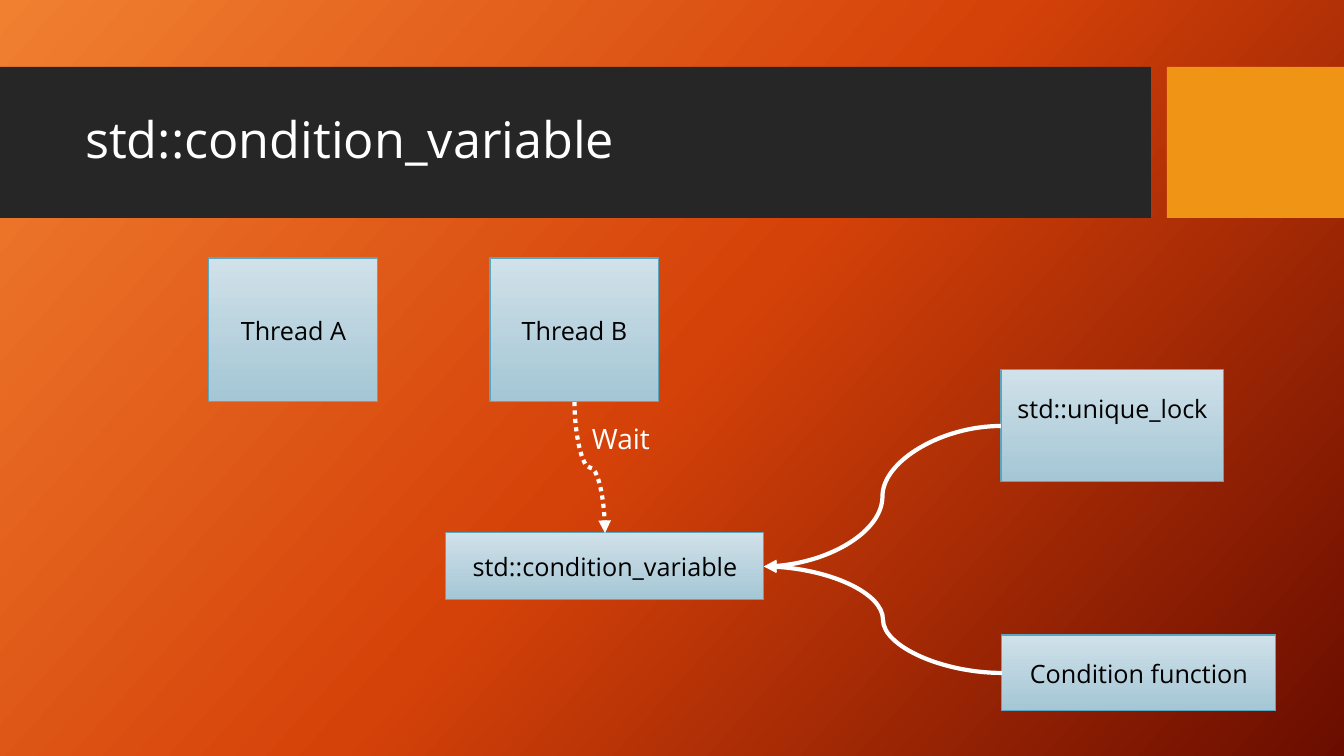
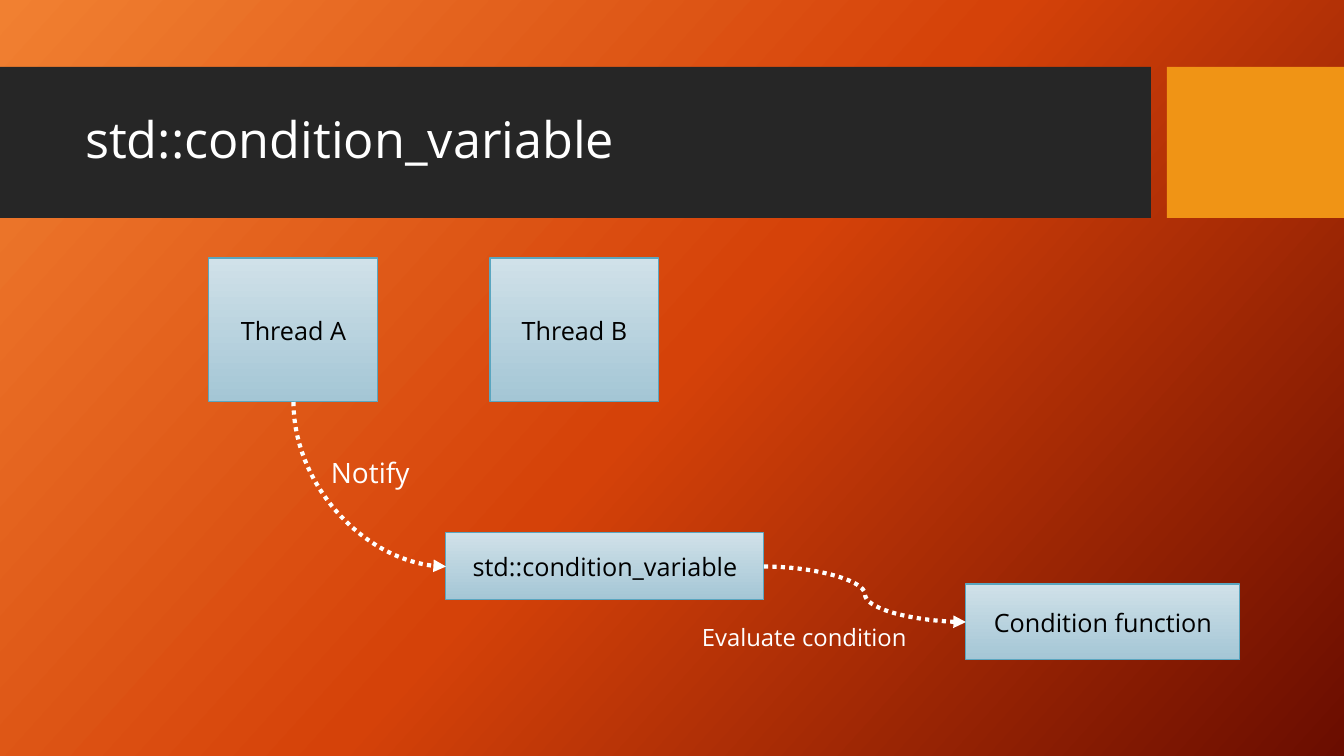
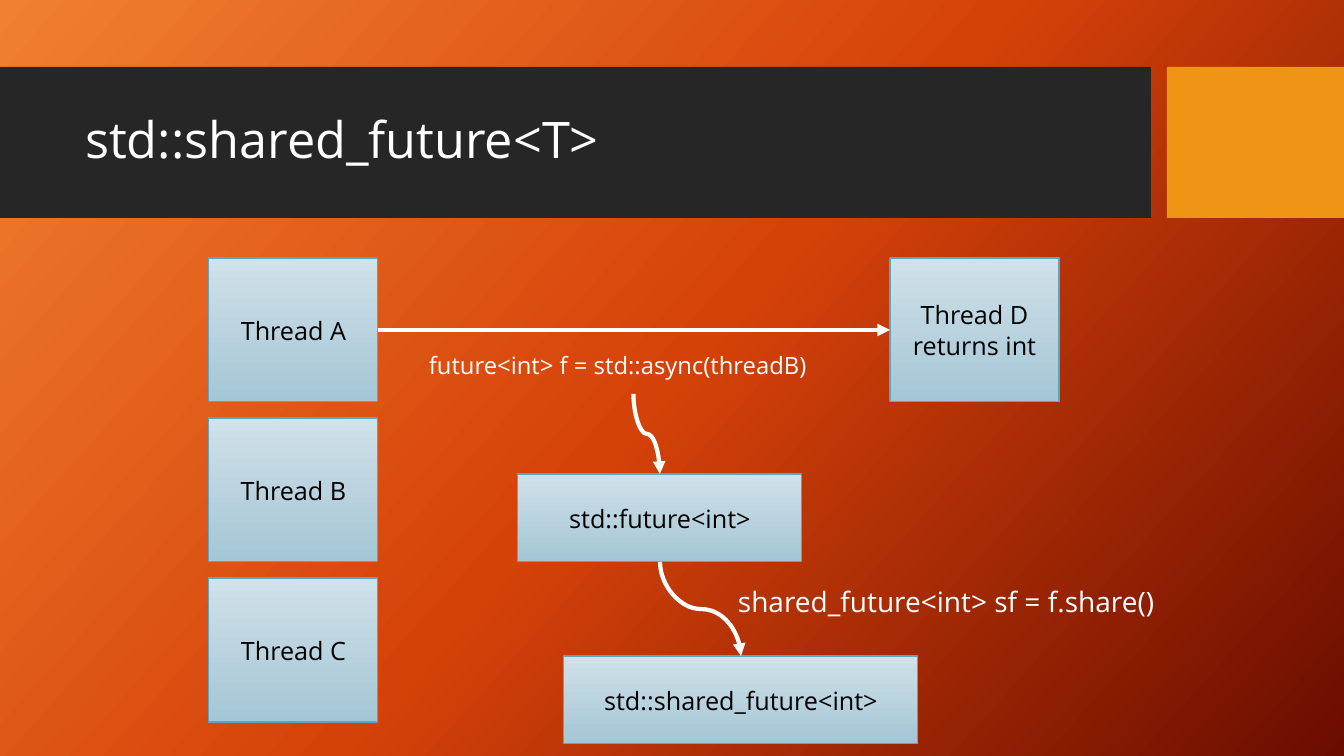
"""Build three slides on C++ condition variables and shared futures."""
from copy import deepcopy
from dataclasses import dataclass

from lxml import etree
from pptx import Presentation
from pptx.dml.color import RGBColor
from pptx.enum import dml, shapes, text
from pptx.oxml.ns import qn
from pptx.util import Emu, Pt


@dataclass(frozen=True)
class Theme:
    font: str = "Open Sans"
    backdrop: tuple = ("F18031", "D54209", "6A0D00")
    box_fill: tuple = ("D0E1E9", "A4C6D5")
    box_line: str = "5AA6C0"
    title_band: str = "262626"
    accent_band: str = "F09415"
    light: str = "FFFFFF"
    dark: str = "000000"
    title_size: int = 36
    box_size: int = 18
    label_size: int = 20
    code_size: int = 17


theme = Theme()
scale = 12192000 / 1344
TOP, LEFT, BOTTOM, RIGHT = range(4)


def shade(fill, holder, angle, colours):
    fill.gradient()
    fill.gradient_angle = angle
    stops = holder.find(".//" + qn("a:gsLst"))
    while len(stops) < len(colours):
        stops.insert(1, deepcopy(stops[0]))
    for index, (stop, colour) in enumerate(zip(fill.gradient_stops, colours)):
        stop.position = index / (len(colours) - 1)
        stop.color.rgb = RGBColor.from_string(colour)


def write(box, wording, size, colour, align, spacing):
    frame = box.text_frame
    frame.word_wrap = True
    frame.vertical_anchor = text.MSO_ANCHOR.MIDDLE
    for index, line in enumerate(wording.split("\n")):
        para = frame.add_paragraph() if index else frame.paragraphs[0]
        para.alignment = align
        para.line_spacing = spacing
        span = para.add_run()
        span.text = line
        span.font.name = theme.font
        span.font.size = Pt(size)
        span.font.color.rgb = RGBColor.from_string(colour)


thread_a = ("Thread A", 209, 258, 169, 144)
thread_b = ("Thread B", 490, 258, 169, 144)
variable = ("std::condition_variable", 446, 533, 318, 67)
async_call = "future<int> f = std::async(threadB)"

slides = [
    {
        "title": "std::condition_variable",
        "boxes": [
            thread_a, thread_b, variable,
            ("Condition function", 1002, 635, 274, 76),
            ("std::unique_lock", 1001, 370, 223, 112),
        ],
        "labels": [("Wait", 582, 414, 115, theme.label_size)],
        "arrows": [
            ("std::unique_lock", LEFT, "std::condition_variable", RIGHT, False),
            ("Condition function", LEFT, "std::condition_variable", RIGHT, False),
            ("Thread B", BOTTOM, "std::condition_variable", TOP, True),
        ],
    },
    {
        "title": "std::condition_variable",
        "boxes": [
            thread_a, thread_b, variable,
            ("Condition function", 966, 584, 274, 76),
        ],
        "labels": [
            ("Notify", 321, 448, 237, theme.label_size),
            ("Evaluate condition", 692, 614, 237, theme.code_size),
        ],
        "arrows": [
            ("Thread A", BOTTOM, "std::condition_variable", LEFT, True),
            ("std::condition_variable", RIGHT, "Condition function", LEFT, True),
        ],
    },
    {
        "title": "std::shared_future<T>",
        "boxes": [
            (f"Thread {letter}", 209, 258 + 160 * row, 169, 144)
            for row, letter in enumerate("ABC")
        ] + [
            ("Thread D\nreturns int", 890, 258, 169, 144),
            ("std::future<int>", 518, 474, 284, 88),
            ("std::shared_future<int>", 564, 656, 354, 88),
        ],
        "labels": [
            (async_call, 419, 342, 429, theme.code_size),
            ("shared_future<int> sf = f.share()", 728, 577, 490, theme.label_size),
        ],
        "arrows": [
            ("Thread A", RIGHT, "Thread D\nreturns int", LEFT, False),
            (async_call, BOTTOM, "std::future<int>", TOP, False),
            ("std::future<int>", BOTTOM, "std::shared_future<int>", TOP, False),
        ],
    },
]

deck = Presentation()
deck.slide_width = Emu(12192000)
deck.slide_height = Emu(6858000)
layout = deck.slide_layouts.get_by_name("Title Only")
shade(layout.background.fill, layout.element, 318, theme.backdrop)
heading = layout.placeholders[0]
heading.left, heading.top, heading.width, heading.height = (
    Emu(round(value * scale)) for value in (75, 83, 1059, 119)
)
pages = [deck.slides.add_slide(layout) for _ in slides]

for left, width, colour in ((0, 1151, theme.title_band), (1167, 177, theme.accent_band)):
    place = [Emu(round(value * scale)) for value in (left, 67, width, 151)]
    band = pages[0].shapes.add_shape(shapes.MSO_SHAPE.RECTANGLE, *place)
    band.shadow.inherit = False
    band.fill.solid()
    band.fill.fore_color.rgb = RGBColor.from_string(colour)
    band.line.fill.background()
    layout.shapes.element.insert(2, band.element)

for page, content in zip(pages, slides):
    write(page.shapes.title, content["title"], theme.title_size, theme.light,
          text.PP_ALIGN.LEFT, 0.9)
    nodes = {}

    for wording, *place in content["boxes"]:
        place = [Emu(round(value * scale)) for value in place]
        box = page.shapes.add_shape(shapes.MSO_SHAPE.RECTANGLE, *place)
        box.shadow.inherit = False
        shade(box.fill, box.element, 270, theme.box_fill)
        box.line.color.rgb = RGBColor.from_string(theme.box_line)
        box.line.width = Pt(0.75)
        write(box, wording, theme.box_size, theme.dark, text.PP_ALIGN.CENTER, 1.0)
        if wording == "std::unique_lock":
            box.text_frame.margin_bottom = Emu(round(39 * scale))
        nodes[wording] = box

    for wording, left, top, width, size in content["labels"]:
        place = [Emu(round(value * scale)) for value in (left, top, width, 52)]
        label = page.shapes.add_textbox(*place)
        spacing = 0.9 if size == theme.label_size else 0.8
        write(label, wording, size, theme.light, text.PP_ALIGN.LEFT, spacing)
        nodes[wording] = label

    for start, start_site, end, end_site, dotted in content["arrows"]:
        arrow = page.shapes.add_connector(shapes.MSO_CONNECTOR.CURVE, 0, 0, 0, 0)
        arrow.begin_connect(nodes[start], start_site)
        arrow.end_connect(nodes[end], end_site)
        if start_site == BOTTOM:
            width, height = arrow.width, arrow.height
            arrow.left = Emu(arrow.left + (width - height) // 2)
            arrow.top = Emu(arrow.top + (height - width) // 2)
            arrow.width, arrow.height = height, width
            frame = arrow.element.find(".//" + qn("a:xfrm"))
            frame.set("rot", "16200000")
            frame.set("flipH", "1")
            if end_site == LEFT:
                arrow.element.find(".//" + qn("a:prstGeom")).set("prst", "curvedConnector2")
        arrow.line.color.rgb = RGBColor.from_string(theme.light)
        arrow.line.width = Pt(3)
        if dotted:
            arrow.line.dash_style = dml.MSO_LINE.ROUND_DOT
        outline = arrow.element.find(".//" + qn("a:ln"))
        etree.SubElement(outline, qn("a:tailEnd"), type="triangle")
        etree.SubElement(outline.getparent(), qn("a:effectLst"))

deck.save("out.pptx")
